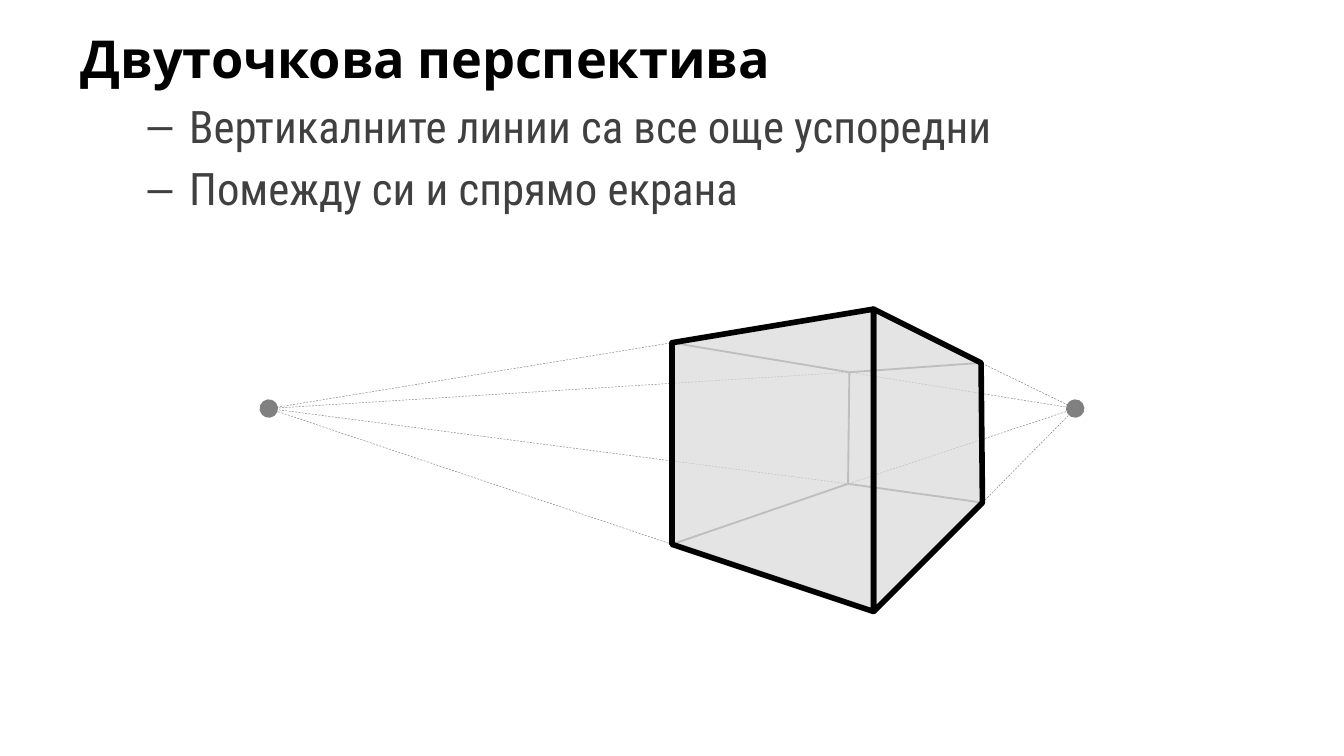
from lxml.etree import SubElement
from pptx import Presentation
from pptx.dml.color import RGBColor
from pptx.enum.dml import MSO_LINE_DASH_STYLE as Dash
from pptx.enum.shapes import MSO_CONNECTOR as Connector
from pptx.oxml.ns import qn
from pptx.util import Inches, Pt

BLACK = RGBColor(0x00, 0x00, 0x00)
DARK = RGBColor(0x40, 0x40, 0x40)
GRAY = RGBColor(0x80, 0x80, 0x80)
FACE = RGBColor(0xD9, 0xD9, 0xD9)

LEFT_VANISH, RIGHT_VANISH = (2, 3.04), (8, 3.04)
FRONT_TOP, FRONT_BOTTOM = (6.5, 2.3), (6.5, 4.55)
LEFT_TOP, LEFT_BOTTOM = (5, 2.55), (5, 4.05)
RIGHT_TOP, RIGHT_BOTTOM = (7.3, 2.7), (7.31, 3.74)
BACK_TOP, BACK_BOTTOM = (6.32, 2.77), (6.31, 3.6)


def add_para(para, text, *, font, size, color, bold=False, bullet=None,
             left=0.0, hanging=0.0, before=0.0):
    props = para._p.get_or_add_pPr()
    props.set("marL", str(Inches(left)))
    props.set("indent", str(-Inches(hanging)))
    if bullet:
        para.level = 1
        SubElement(props, qn("a:buFont"), typeface="Arial")
        SubElement(props, qn("a:buChar"), char=bullet)
    para.space_before = Pt(before)
    span = para.add_run()
    span.text = text
    span.font.name = font
    span.font.size = Pt(size)
    span.font.bold = bold
    span.font.color.rgb = color


def add_text(page):
    box = page.shapes.add_textbox(Inches(0.5), Inches(0.15), Inches(9.5), Inches(5.33))
    frame = box.text_frame
    frame.word_wrap = True
    add_para(frame.paragraphs[0], "Двуточкова перспектива", font="Cabin", size=28,
             color=BLACK, bold=True, left=0.38, hanging=0.38)
    for text in ("Вертикалните линии са все още успоредни",
                 "Помежду си и спрямо екрана"):
        add_para(frame.add_paragraph(), text, font="Roboto Condensed", size=24,
                 color=DARK, bullet="–", left=0.81, hanging=0.31, before=4.8)


def add_line(page, start, end, *, width, dashed=False, dot=False):
    """Draw a gray line, with a round dot at its start if asked."""
    line = page.shapes.add_connector(
        Connector.STRAIGHT, *(Inches(value) for value in start + end))
    line.line.color.rgb = GRAY
    line.line.width = Pt(width)
    if dashed:
        line.line.dash_style = Dash.DASH
    if dot:
        SubElement(line.line._get_or_add_ln(), qn("a:headEnd"),
                   type="oval", w="lg", len="lg")
    SubElement(line._element.spPr, qn("a:effectLst"))


def add_face(page, *corners):
    """Draw a see-through face of the cube with a thick outline."""
    points = [(Inches(x), Inches(y)) for x, y in corners]
    builder = page.shapes.build_freeform(*points[0])
    builder.add_line_segments(points[1:], close=True)
    face = builder.convert_to_shape()
    face.shadow.inherit = False
    face.fill.solid()
    face.fill.fore_color.rgb = FACE
    color = face._element.spPr.find(qn("a:solidFill"))[0]
    SubElement(color, qn("a:alpha"), val="70000")
    face.line.color.rgb = BLACK
    face.line.width = Pt(3)
    SubElement(face.line._get_or_add_ln(), qn("a:round"))


def main():
    deck = Presentation()
    deck.slide_width = Inches(10)
    deck.slide_height = deck.slide_width * 9 // 16
    page = deck.slides.add_slide(deck.slide_layouts[6])
    add_text(page)

    rays = (
        (LEFT_VANISH, (LEFT_TOP, LEFT_BOTTOM, BACK_BOTTOM, BACK_TOP)),
        (RIGHT_VANISH, (RIGHT_TOP, BACK_BOTTOM, BACK_TOP, RIGHT_BOTTOM)),
    )
    for vanish, corners in rays:
        for index, corner in enumerate(corners):
            add_line(page, vanish, corner, width=0.25, dashed=True, dot=index == 0)

    hidden_edges = (
        (BACK_TOP, RIGHT_TOP), (BACK_TOP, LEFT_TOP), (BACK_TOP, BACK_BOTTOM),
        (BACK_BOTTOM, RIGHT_BOTTOM), (BACK_BOTTOM, LEFT_BOTTOM),
    )
    for start, end in hidden_edges:
        add_line(page, start, end, width=1)

    add_face(page, FRONT_TOP, RIGHT_TOP, RIGHT_BOTTOM, FRONT_BOTTOM)
    add_face(page, LEFT_TOP, FRONT_TOP, FRONT_BOTTOM, LEFT_BOTTOM)
    deck.save("out.pptx")


if __name__ == "__main__":
    main()
